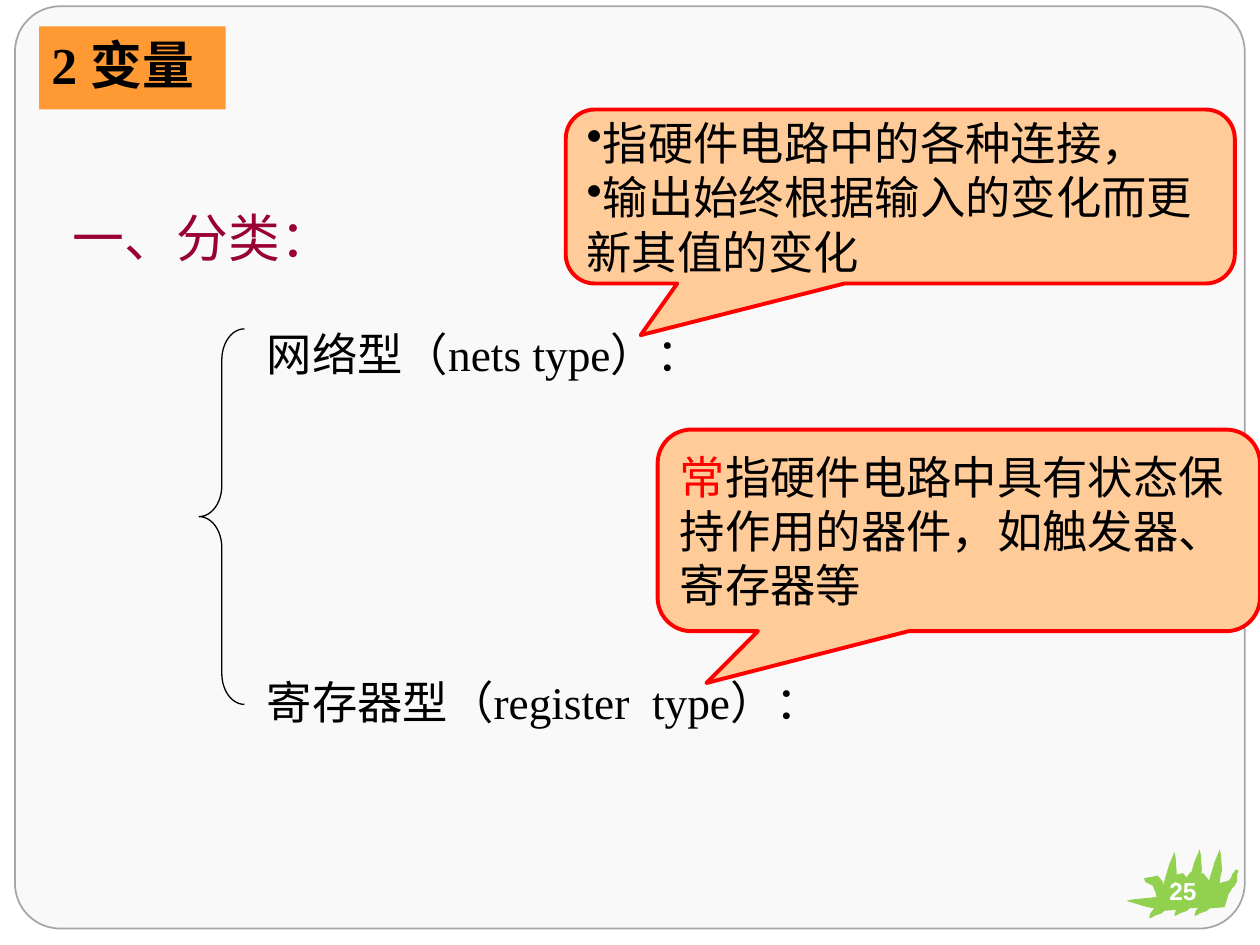
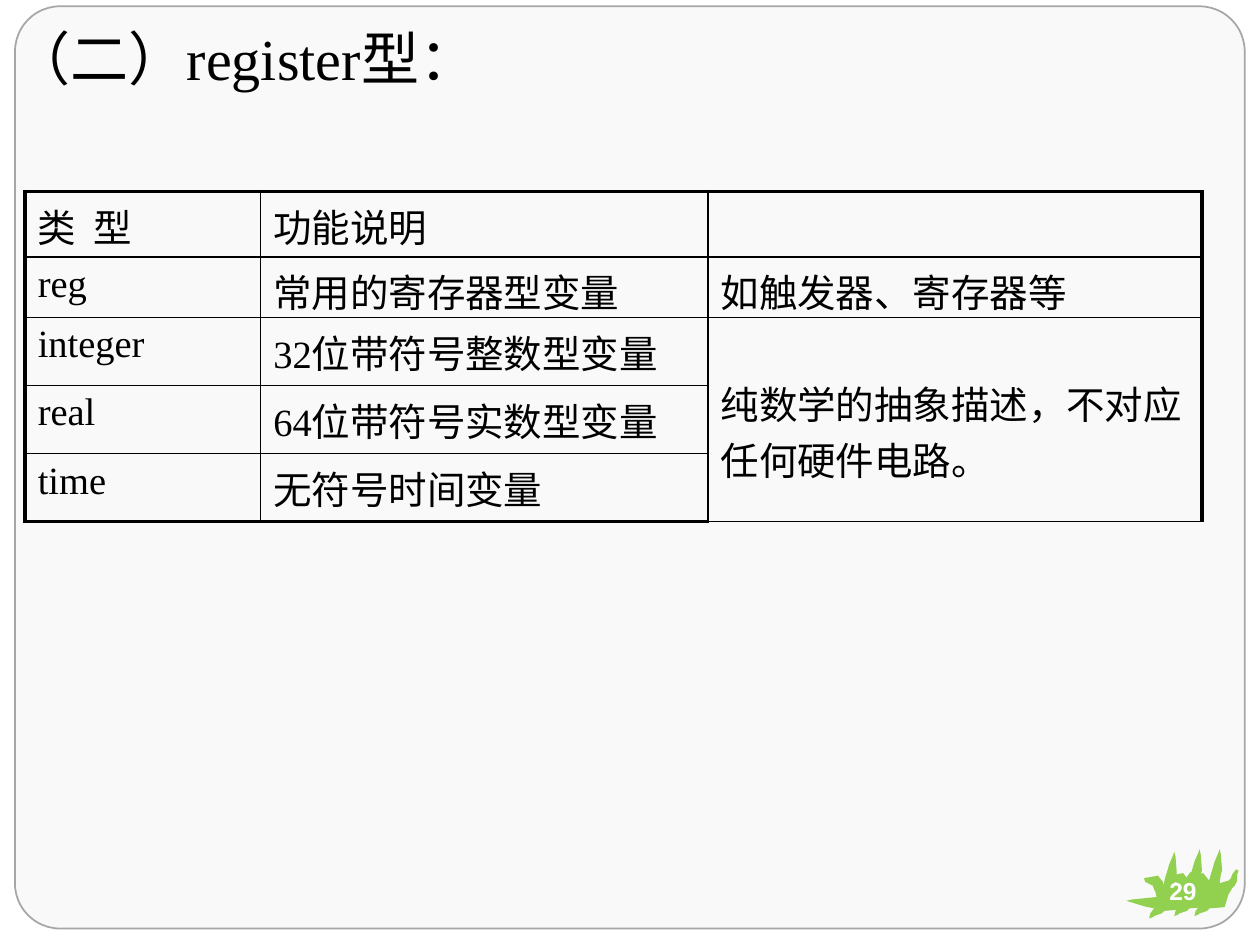
from dataclasses import dataclass

from lxml import etree
from pptx import Presentation
from pptx import util as u
from pptx.dml.color import RGBColor
from pptx.enum import shapes, text
from pptx.oxml import ns

Pt = u.Pt
Preset = shapes.MSO_SHAPE


@dataclass(frozen=True)
class Theme:
    # Colours
    white: str = "FFFFFF"
    black: str = "000000"
    panel: str = "F9F9F9"
    panel_line: str = "A6A6A6"
    leaf: str = "92D050"
    heading: str = "990033"
    label: str = "FF9933"
    callout: str = "FFCC99"
    red: str = "FF0000"
    # Fonts and type sizes
    body_font: str = "Times New Roman"
    number_font: str = "Arial"
    title_size: float = 33.2
    heading_size: float = 29.6
    body_size: float = 25.9
    table_size: float = 22
    number_size: float = 14
    # Line widths
    thin: float = 1
    thick: float = 2.25


# Leaf outline in hundredths of an inch, from its top left corner
LEAF_UNIT = Pt(0.72)
LEAF_OUTLINE = [
    (18, 53), (21, 52), (22, 51), (28, 49), (30, 47), (42, 46), (45, 36),
    (48, 31), (50, 29), (52, 25), (52, 20), (53, 17), (51, 16), (48, 20),
    (47, 23), (45, 25), (38, 27), (39, 20), (40, 17), (39, 4), (38, 0),
    (37, 3), (34, 10), (32, 17), (31, 20), (30, 24), (29, 27), (29, 24),
    (25, 19), (20, 20), (14, 21), (15, 24), (19, 26), (21, 27), (22, 30),
    (23, 32), (24, 36), (4, 38), (0, 39), (13, 43), (17, 44), (22, 45),
    (19, 49),
]
LEAF_CORNERS = [(669.6, 485.3), (658.1, 485.3), (643.7, 486.7)]


class SlideBuilder:
    def __init__(self, presentation, theme):
        self.presentation = presentation
        self.theme = theme
        self.slide = None

    def new_slide(self):
        """Start a slide with the shared panel and leaves."""
        theme = self.theme
        self.slide = self.presentation.slides.add_slide(self.presentation.slide_layouts[6])
        background = self.slide.background.fill
        background.solid()
        background.fore_color.rgb = RGBColor.from_string(theme.white)
        self.shape(Preset.ROUNDED_RECTANGLE, (8.6, 3.6, 702.7, 527), theme.panel,
                   theme.panel_line, adjustments=[0.049])
        for left, top in LEAF_CORNERS:
            builder = self.slide.shapes.build_freeform(*LEAF_OUTLINE[0], scale=LEAF_UNIT)
            builder.add_line_segments(LEAF_OUTLINE[1:], close=True)
            self.paint(builder.convert_to_shape(Pt(left), Pt(top)), theme.leaf)

    def paint(self, shape, fill=None, line=None, width=1):
        shape.shadow.inherit = False
        if fill:
            shape.fill.solid()
            shape.fill.fore_color.rgb = RGBColor.from_string(fill)
        else:
            shape.fill.background()
        if line:
            shape.line.color.rgb = RGBColor.from_string(line)
            shape.line.width = Pt(width)
        else:
            shape.line.fill.background()

    def shape(self, preset, box, fill=None, line=None, width=1, adjustments=()):
        shape = self.slide.shapes.add_shape(preset, *map(Pt, box))
        for index, value in enumerate(adjustments):
            shape.adjustments[index] = value
        self.paint(shape, fill, line, width)
        return shape

    def format(self, text_frame, size, color=None, bold=False, font=None,
               align=text.PP_ALIGN.LEFT):
        for paragraph in text_frame.paragraphs:
            paragraph.alignment = align
            for run in paragraph.runs:
                run.font.name = font or self.theme.body_font
                run.font.size = Pt(size)
                run.font.bold = bold
                run.font.color.rgb = RGBColor.from_string(color or self.theme.black)

    def text_box(self, box, words, size, color=None, wrap=True):
        text_frame = self.slide.shapes.add_textbox(*map(Pt, box)).text_frame
        text_frame.word_wrap = wrap
        text_frame.text = words
        self.format(text_frame, size, color)

    def label(self, box, words):
        text_frame = self.shape(Preset.RECTANGLE, box, self.theme.label).text_frame
        text_frame.word_wrap = False
        text_frame.vertical_anchor = text.MSO_ANCHOR.TOP
        text_frame.text = words
        self.format(text_frame, self.theme.heading_size, bold=True,
                    align=text.PP_ALIGN.JUSTIFY)

    def callout(self, box, pointer, words, bullets=False, red_start=""):
        theme = self.theme
        shape = self.shape(Preset.ROUNDED_RECTANGULAR_CALLOUT, box, theme.callout,
                           theme.red, theme.thick, (*pointer, 0.167))
        text_frame = shape.text_frame
        text_frame.word_wrap = True
        text_frame.vertical_anchor = text.MSO_ANCHOR.MIDDLE
        text_frame.text = red_start + words
        if red_start:
            first = text_frame.paragraphs[0]
            first.runs[0].text = red_start
            first.add_run().text = words
        self.format(text_frame, theme.body_size)
        if red_start:
            first.runs[0].font.color.rgb = RGBColor.from_string(theme.red)
        if bullets:
            for paragraph in text_frame.paragraphs:
                properties = paragraph._p.get_or_add_pPr()
                etree.SubElement(properties, ns.qn("a:buChar"), char="•")

    def table(self, box, widths, heights, rows):
        theme = self.theme
        last_row, last_column = len(heights) - 1, len(widths) - 1
        frame = self.slide.shapes.add_table(len(heights), len(widths), *map(Pt, box))
        table = frame.table
        table.first_row = table.horz_banding = False
        for column, width in zip(table.columns, widths):
            column.width = Pt(width)
        for row, height in zip(table.rows, heights):
            row.height = Pt(height)
        for i, row in enumerate(rows):
            for j, words in enumerate(row):
                cell = table.cell(i, j)
                cell.text = words
                self.format(cell.text_frame, theme.table_size)
                outer = {"L": j == 0, "R": j == last_column,
                         "T": i == 0, "B": i == last_row}
                for side, is_outer in outer.items():
                    self.border(cell, side, theme.thick if is_outer else theme.thin)
                cell.fill.background()
        return table

    def border(self, cell, side, width):
        properties = cell._tc.get_or_add_tcPr()
        line = etree.SubElement(properties, ns.qn(f"a:ln{side}"), w=str(Pt(width)))
        fill = etree.SubElement(line, ns.qn("a:solidFill"))
        etree.SubElement(fill, ns.qn("a:srgbClr"), val=self.theme.black)

    def page_number(self, number):
        theme = self.theme
        text_frame = self.shape(Preset.OVAL, (658, 496.8, 36, 25.9)).text_frame
        text_frame.margin_left = text_frame.margin_right = 0
        text_frame.margin_top = text_frame.margin_bottom = 0
        text_frame.vertical_anchor = text.MSO_ANCHOR.TOP
        text_frame.text = str(number)
        self.format(text_frame, theme.number_size, theme.white, True,
                    theme.number_font, text.PP_ALIGN.CENTER)


def variables_slide(builder):
    theme = builder.theme
    builder.new_slide()

    # Classification of variables
    builder.text_box((34.6, 113.8, 162.7, 43.2), "一、分类：", theme.heading_size, theme.heading)
    builder.shape(Preset.LEFT_BRACE, (113.8, 187.9, 25.9, 214.6), None, theme.black, 0.75,
                  (0.683, 0.5))
    for top, width, words in ((182.9, 264.2, "网络型（nets type）："),
                              (381.6, 333.4, "寄存器型（register  type）：")):
        builder.text_box((145.4, top, width, 38.9), words, theme.body_size, wrap=False)
    builder.label((22.3, 15.1, 106.6, 47.5), "2 变量")

    # Explanations
    builder.callout((323.3, 62.6, 382.3, 99.4), (-0.388, 0.797),
                    "指硬件电路中的各种连接，\n输出始终根据输入的变化而更新其值的变化", bullets=True)
    builder.callout((375.8, 245.5, 344.2, 115.2), (-0.419, 0.757),
                    "指硬件电路中具有状态保持作用的器件，如触发器、寄存器等", red_start="常")
    builder.page_number(25)


def register_slide(builder):
    builder.new_slide()
    builder.text_box((0, 9.4, 309.6, 47.5), "（二）register型：", builder.theme.title_size)

    # Register types
    table = builder.table(
        (14.4, 109.4, 672.4, 188.6), (134.6, 255.6, 282.2), (37.4, 34.6, 38.9, 38.9, 38.9),
        [("类  型", "功能说明", ""),
         ("reg", "常用的寄存器型变量", "如触发器、寄存器等"),
         ("integer", "32位带符号整数型变量", "纯数学的抽象描述，不对应任何硬件电路。"),
         ("real", "64位带符号实数型变量", ""),
         ("time", "无符号时间变量", "")])
    description = table.cell(2, 2)
    description.merge(table.cell(4, 2))
    description.margin_top = Pt(33)
    builder.border_bottom = None
    builder.page_number(29)


def main():
    presentation = Presentation()
    presentation.slide_width, presentation.slide_height = Pt(720), Pt(540)
    builder = SlideBuilder(presentation, Theme())
    variables_slide(builder)
    register_slide(builder)
    presentation.save("out.pptx")


if __name__ == "__main__":
    main()
